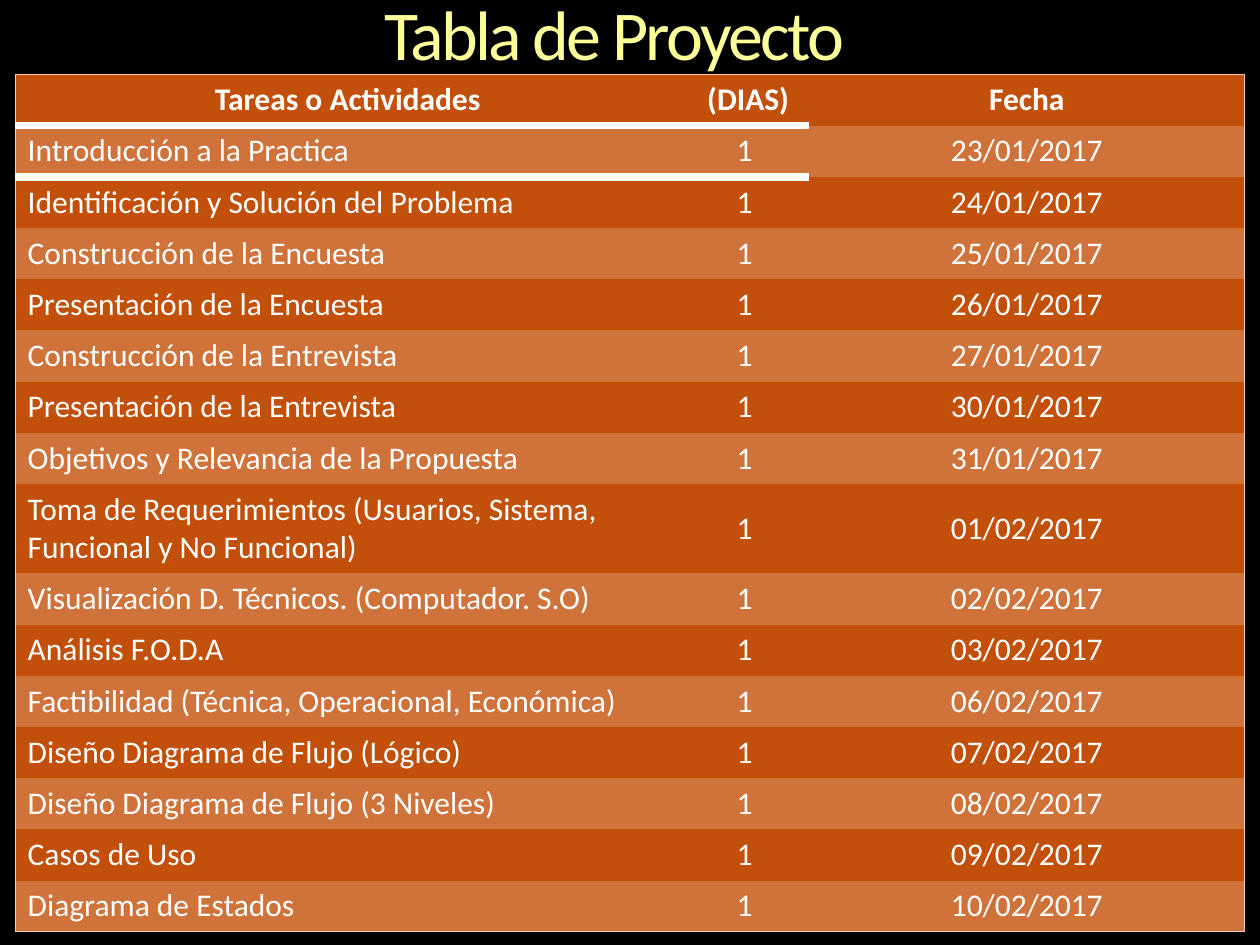
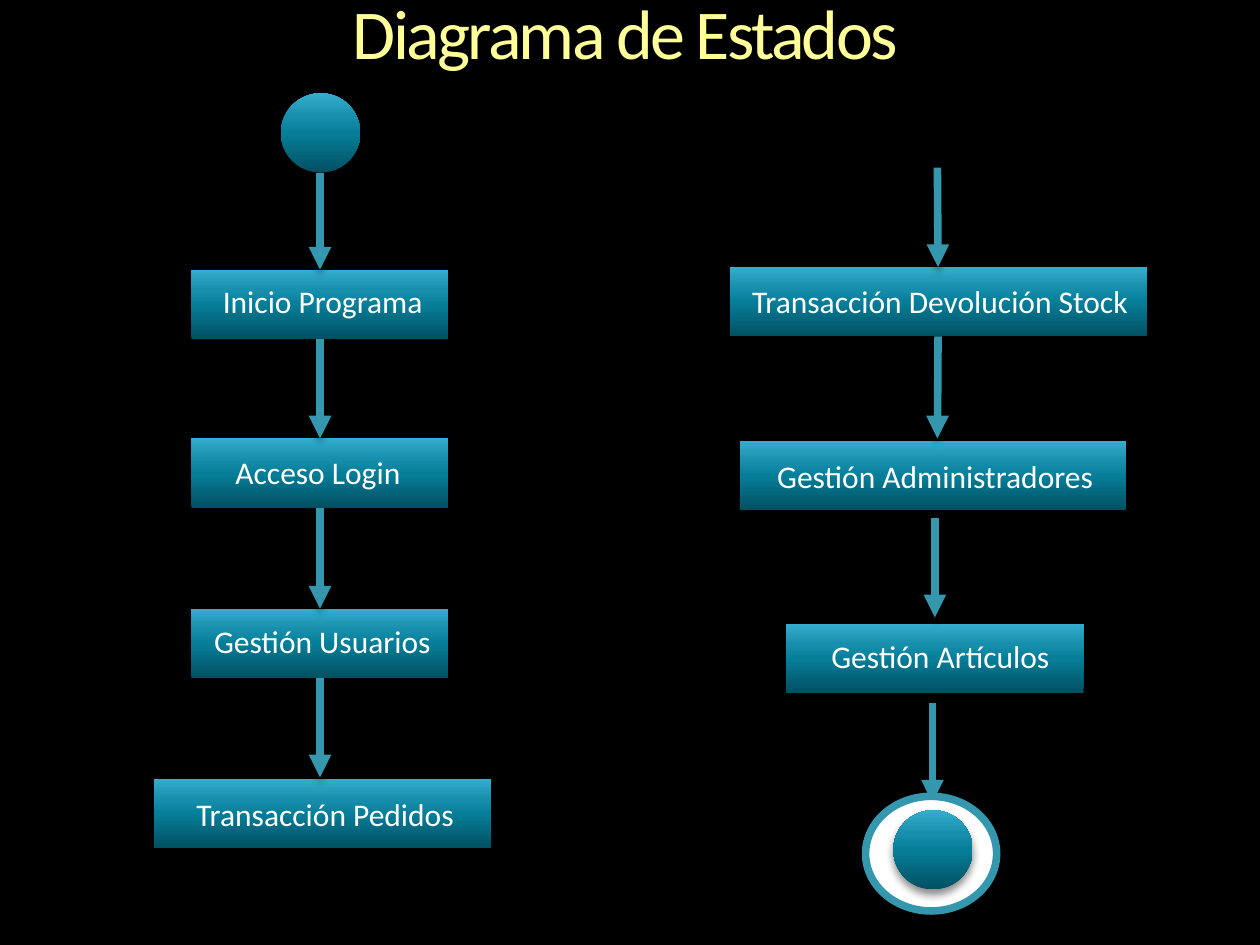
from dataclasses import dataclass
from typing import Optional

import lxml.etree
import pptx
import pptx.dml.color
import pptx.enum.shapes
import pptx.enum.text
import pptx.oxml.ns
import pptx.util

Inches = pptx.util.Inches
Pt = pptx.util.Pt
qn = pptx.oxml.ns.qn
Align = pptx.enum.text.PP_ALIGN
Preset = pptx.enum.shapes.MSO_SHAPE


@dataclass(frozen=True)
class Theme:
    font: str = "Calibri"
    background: str = "000000"
    title: str = "FFFF99"
    text: str = "FFFFFF"
    row: str = "C3500A"
    band: str = "CF733B"
    table_border: str = "F0CDC1"
    arrow: str = "3497AE"
    gradient: tuple = ((0, "015062"), (50, "077E99"), (70, "178EAB"), (100, "35ADCE"))
    title_size: float = 40
    body_size: float = 18
    arrow_width: float = 4.33
    border_width: float = 0.75
    header_rule: float = 5


THEME = Theme()


@dataclass(frozen=True)
class Task:
    name: str
    date: str
    line_spacing: Optional[float] = None


@dataclass(frozen=True)
class State:
    label: str
    left: float
    top: float
    width: float
    label_left: float
    label_top: float
    label_width: float


@dataclass(frozen=True)
class Arrow:
    x: float
    top: float
    source: Optional[str] = None
    target: Optional[str] = None


TASKS = [
    Task("Introducción a la Practica", "23/01/2017"),
    Task("Identificación y Solución del Problema", "24/01/2017"),
    Task("Construcción de la Encuesta", "25/01/2017"),
    Task("Presentación de la Encuesta", "26/01/2017"),
    Task("Construcción de la Entrevista", "27/01/2017"),
    Task("Presentación de la Entrevista", "30/01/2017"),
    Task("Objetivos y Relevancia de la Propuesta", "31/01/2017"),
    Task("Toma de Requerimientos (Usuarios, Sistema, Funcional y No Funcional)",
         "01/02/2017", 1.5),
    Task("Visualización D. Técnicos. (Computador. S.O)", "02/02/2017"),
    Task("Análisis F.O.D.A", "03/02/2017"),
    Task("Factibilidad (Técnica, Operacional, Económica)", "06/02/2017"),
    Task("Diseño Diagrama de Flujo (Lógico)", "07/02/2017"),
    Task("Diseño Diagrama de Flujo (3 Niveles)", "08/02/2017"),
    Task("Casos de Uso", "09/02/2017"),
    Task("Diagrama de Estados", "10/02/2017"),
]
COLUMN_WIDTHS = (5.28, 1.02, 3.46)
TABLE_HEIGHT = 6.79
TALL_ROW = 0.69

STATE_HEIGHT = 0.55
STATES = [
    State("Inicio Programa", 1.52, 2.14, 2.04, 1.67, 2.19, 1.89),
    State("Acceso Login", 1.52, 3.48, 2.04, 1.77, 3.55, 1.89),
    State("Gestión Usuarios", 1.52, 4.83, 2.04, 1.6, 4.89, 1.98),
    State("Transacción Pedidos", 1.22, 6.18, 2.68, 1.46, 6.26, 2.52),
    State("Transacción Devolución Stock", 5.79, 2.12, 3.31, 5.87, 2.19, 3.39),
    State("Gestión Administradores", 5.87, 3.5, 3.07, 6.07, 3.58, 2.74),
    State("Gestión Artículos", 6.24, 4.95, 2.36, 6.5, 5.01, 2.74),
]
ARROW_LENGTH = 0.79
ARROWS = [
    Arrow(2.54, 1.37, target="Inicio Programa"),
    Arrow(2.54, 2.69, "Inicio Programa", "Acceso Login"),
    Arrow(2.54, 4.03, "Acceso Login", "Gestión Usuarios"),
    Arrow(2.54, 5.38, "Gestión Usuarios"),
    Arrow(7.44, 1.33, target="Transacción Devolución Stock"),
    Arrow(7.44, 2.69, "Transacción Devolución Stock"),
    Arrow(7.42, 4.11),
    Arrow(7.4, 5.58),
]


def rgb(color: str) -> pptx.dml.color.RGBColor:
    return pptx.dml.color.RGBColor.from_string(color)


def add_child(parent, tag: str, **attributes):
    return lxml.etree.SubElement(
        parent, qn(tag), {name: str(value) for name, value in attributes.items()})


def add_run(paragraph, text: str, size: float = THEME.body_size,
            color: str = THEME.text, bold: bool = False):
    run = paragraph.add_run()
    run.text = text
    run.font.name = THEME.font
    run.font.size = Pt(size)
    run.font.bold = bold
    run.font.color.rgb = rgb(color)
    return run


def add_titled_slide(presentation, title: str, left: float, width: float, height: float):
    slide = presentation.slides.add_slide(presentation.slide_layouts[5])
    slide.background.fill.solid()
    slide.background.fill.fore_color.rgb = rgb(THEME.background)
    shape = slide.shapes.title
    shape.left, shape.top = Inches(left), Inches(0)
    shape.width, shape.height = Inches(width), Inches(height)
    frame = shape.text_frame
    frame.margin_left = frame.margin_right = frame.margin_top = frame.margin_bottom = 0
    frame.vertical_anchor = pptx.enum.text.MSO_ANCHOR.MIDDLE
    frame.auto_size = pptx.enum.text.MSO_AUTO_SIZE.NONE
    frame.word_wrap = True
    paragraph = frame.paragraphs[0]
    paragraph.alignment = Align.LEFT
    paragraph.line_spacing = 0.9
    run = add_run(paragraph, title, THEME.title_size, THEME.title)
    run.font._element.set("spc", "-150")
    return slide


def fill_cell(cell, text: str, color: str, alignment, bold: bool = False,
              line_spacing: Optional[float] = None) -> None:
    cell.fill.solid()
    cell.fill.fore_color.rgb = rgb(color)
    paragraph = cell.text_frame.paragraphs[0]
    paragraph.alignment = alignment
    if line_spacing:
        paragraph.line_spacing = line_spacing
    add_run(paragraph, text, bold=bold)


def set_borders(cell, borders: dict) -> None:
    """Draw borders keyed by side (L, R, T, B), each a colour and a width."""
    properties = cell._tc.get_or_add_tcPr()
    sides = [side for side in "LRTB" if side in borders]
    for position, side in enumerate(sides):
        color, width = borders[side]
        line = add_child(properties, f"a:ln{side}", w=int(Pt(width)))
        add_child(add_child(line, "a:solidFill"), "a:srgbClr", val=color)
        properties.insert(position, line)


def add_task_table(slide) -> None:
    row_count, column_count = len(TASKS) + 1, len(COLUMN_WIDTHS)
    frame = slide.shapes.add_table(
        row_count, column_count, Inches(0.12), Inches(0.59),
        Inches(sum(COLUMN_WIDTHS)), Inches(TABLE_HEIGHT))
    table = frame.table
    table.first_row = table.horz_banding = False
    for style in frame.element.iter(qn("a:tableStyleId")):
        style.text = "{2D5ABB26-0587-4C30-8999-92F81FD0307C}"  # no style, no grid
    for column, width in zip(table.columns, COLUMN_WIDTHS):
        column.width = Inches(width)
    normal_row = (TABLE_HEIGHT - TALL_ROW) / (row_count - 1)
    for row in table.rows:
        row.height = Inches(normal_row)

    for column, heading in enumerate(("Tareas o Actividades", " (DIAS)", "Fecha")):
        fill_cell(table.cell(0, column), heading, THEME.row, Align.CENTER, bold=True)
    for row, task in enumerate(TASKS, start=1):
        color = THEME.band if row % 2 else THEME.row
        fill_cell(table.cell(row, 0), task.name, color, Align.LEFT)
        for column, text in ((1, "1"), (2, task.date)):
            fill_cell(table.cell(row, column), text, color, Align.CENTER,
                      line_spacing=task.line_spacing)
        if task.line_spacing:
            table.rows[row].height = Inches(TALL_ROW)

    outline = (THEME.table_border, THEME.border_width)
    rule = (THEME.text, THEME.header_rule)
    last_row, last_column = row_count - 1, column_count - 1
    for row in range(row_count):
        for column in range(column_count):
            borders = {}
            if column == 0:
                borders["L"] = outline
            if column == last_column:
                borders["R"] = outline
            if row == 0:
                borders["T"] = outline
            if row == last_row:
                borders["B"] = outline
            if column < last_column and row < 2:
                borders["B" if row == 0 else "T"] = rule
            set_borders(table.cell(row, column), borders)


def add_shadow(effects, blur: float, opacity: int) -> None:
    shadow = add_child(effects, "a:outerShdw", blurRad=int(Pt(blur)), dist=int(Pt(3)),
                       dir=90 * 60000, rotWithShape=0)
    color = add_child(shadow, "a:srgbClr", val="000000")
    add_child(color, "a:alpha", val=opacity * 1000)


def add_gradient_shape(slide, preset, left: float, top: float, width: float, height: float):
    shape = slide.shapes.add_shape(
        preset, Inches(left), Inches(top), Inches(width), Inches(height))
    shape.fill.gradient()
    shape.fill.gradient_angle = 90
    properties = shape.element.spPr
    stops = properties.find(".//" + qn("a:gsLst"))
    for stop in list(stops):
        stops.remove(stop)
    for position, color in THEME.gradient:
        stop = add_child(stops, "a:gs", pos=position * 1000)
        add_child(stop, "a:srgbClr", val=color)
    shape.line.fill.background()
    shape.shadow.inherit = False
    add_shadow(properties.find(qn("a:effectLst")), 5, 45)
    return shape


def add_dot(slide, left: float, top: float) -> None:
    add_gradient_shape(slide, Preset.OVAL, left, top, 0.63, 0.63)


def add_state_label(slide, state: State) -> None:
    box = slide.shapes.add_textbox(Inches(state.label_left), Inches(state.label_top),
                                   Inches(state.label_width), Inches(0.4))
    box.text_frame.word_wrap = True
    box.text_frame.auto_size = pptx.enum.text.MSO_AUTO_SIZE.SHAPE_TO_FIT_TEXT
    add_run(box.text_frame.paragraphs[0], state.label)


def add_arrow(slide, arrow: Arrow, boxes: dict) -> None:
    x = Inches(arrow.x)
    connector = slide.shapes.add_connector(
        pptx.enum.shapes.MSO_CONNECTOR.STRAIGHT,
        x, Inches(arrow.top), x, Inches(arrow.top + ARROW_LENGTH))
    if arrow.source:
        connector.begin_connect(boxes[arrow.source], 2)
    if arrow.target:
        connector.end_connect(boxes[arrow.target], 0)
    connector.line.color.rgb = rgb(THEME.arrow)
    connector.line.width = Pt(THEME.arrow_width)
    properties = connector.element.spPr
    add_child(properties.find(qn("a:ln")), "a:tailEnd", type="triangle")
    add_shadow(add_child(properties, "a:effectLst"), 4, 35)


def add_final_ring(slide) -> None:
    ring = slide.shapes.add_shape(
        Preset.OVAL, Inches(6.87), Inches(6.32), Inches(1.04), Inches(0.91))
    ring.shadow.inherit = False
    ring.fill.solid()
    ring.fill.fore_color.rgb = rgb(THEME.text)
    ring.line.color.rgb = rgb(THEME.arrow)
    ring.line.width = Pt(THEME.arrow_width)


def add_state_diagram(slide) -> None:
    add_dot(slide, 2.23, 0.74)
    boxes = {
        state.label: add_gradient_shape(slide, Preset.RECTANGLE, state.left, state.top,
                                        state.width, STATE_HEIGHT)
        for state in STATES
    }
    for arrow in ARROWS:
        add_arrow(slide, arrow, boxes)
    for state in STATES:
        add_state_label(slide, state)
    add_final_ring(slide)
    add_dot(slide, 7.09, 6.43)


def main() -> None:
    presentation = pptx.Presentation()
    presentation.slide_width, presentation.slide_height = Inches(10), Inches(7.5)
    add_task_table(add_titled_slide(presentation, "Tabla de Proyecto", 3.05, 3.9, 0.6))
    add_state_diagram(add_titled_slide(presentation, "Diagrama de Estados", 2.8, 4.39, 0.58))
    presentation.save("out.pptx")


if __name__ == "__main__":
    main()
